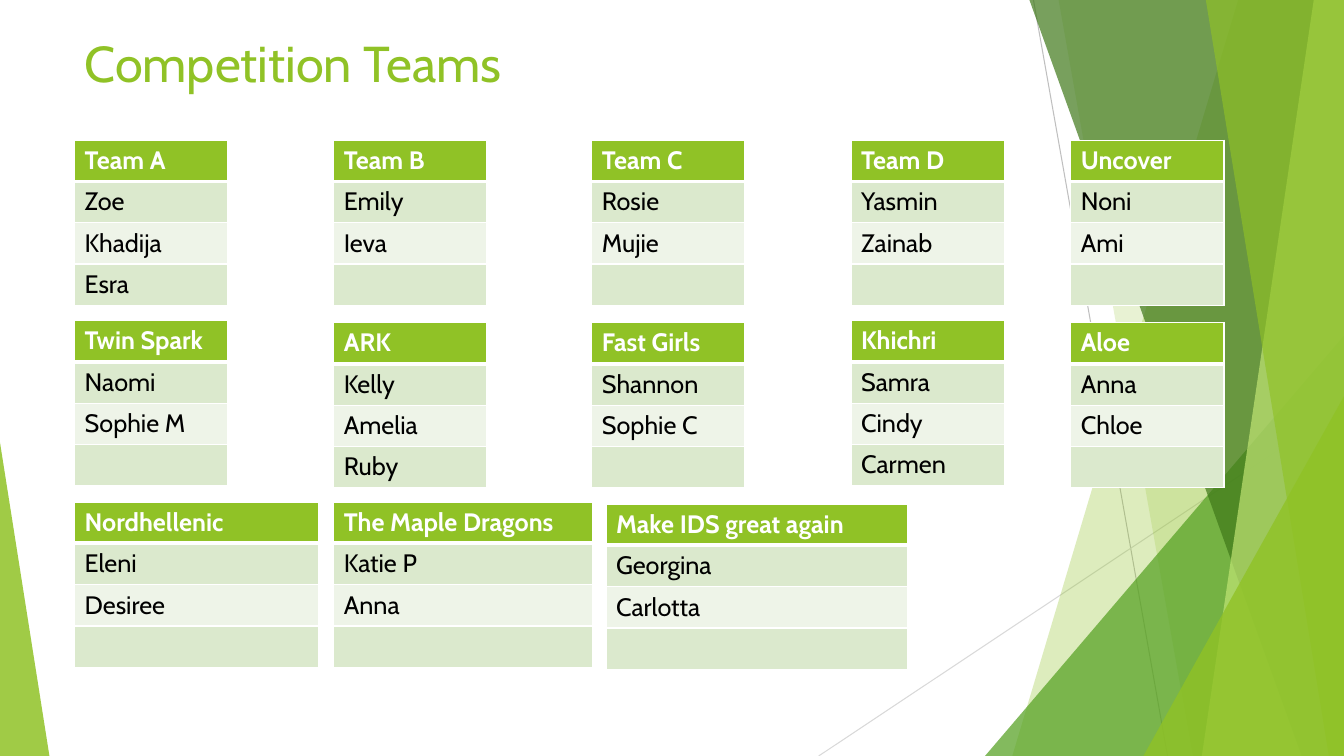
from collections import namedtuple
from dataclasses import dataclass

from lxml import etree
from pptx import Presentation
from pptx import util as u
from pptx.dml.color import RGBColor
from pptx.enum import shapes, text
from pptx.oxml import ns

Box = namedtuple("Box", "left top width height")
Team = namedtuple("Team", "left top width name members")


@dataclass(frozen=True)
class Theme:
    """Colours, font and type sizes of the slide."""
    font: str = "Cabin"
    title_size: int = 36
    table_size: int = 18
    lime: str = "90C226"
    green: str = "54A021"
    forest: str = "3F7819"
    pale: str = "C0E474"
    white: str = "FFFFFF"
    black: str = "000000"
    bands: tuple = ("DBE9CD", "EEF4E8")
    rules: tuple = ("BFBFBF", "D9D9D9")


THEME = Theme()
PAGE = Box(0, 0, 13.33, 7.5)
COLUMNS = [0.74, 3.31, 5.87, 8.44, 10.62]
ROW_TOPS = [1.39, 3.18, 4.98]
NUDGE = 0.02
TEAM_WIDTH = 1.52
ROW_HEIGHT = 0.41
TEAM_ROWS = 4

FIRST_ROW = [
    ("Team A", ["Zoe", "Khadija", "Esra"]),
    ("Team B", ["Emily", "Ieva"]),
    ("Team C", ["Rosie", "Mujie"]),
    ("Team D", ["Yasmin", "Zainab"]),
    ("Uncover", ["Noni", "Ami"]),
]
SECOND_ROW = [
    ("Twin Spark", ["Naomi", "Sophie M"]),
    ("ARK", ["Kelly", "Amelia", "Ruby"]),
    ("Fast Girls", ["Shannon", "Sophie C"]),
    ("Khichri", ["Samra", "Cindy", "Carmen"]),
    ("Aloe", ["Anna", "Chloe"]),
]
SECOND_NUDGES = [0, NUDGE, NUDGE, 0, NUDGE]
TEAMS = [
    *(Team(left, ROW_TOPS[0], TEAM_WIDTH, *entry)
      for left, entry in zip(COLUMNS, FIRST_ROW)),
    *(Team(left, ROW_TOPS[1] + nudge, TEAM_WIDTH, *entry)
      for left, nudge, entry in zip(COLUMNS, SECOND_NUDGES, SECOND_ROW)),
    Team(COLUMNS[0], ROW_TOPS[2], 2.42, "Nordhellenic", ["Eleni", "Desiree"]),
    Team(COLUMNS[1], ROW_TOPS[2], 2.57, "The Maple Dragons", ["Katie P", "Anna"]),
    Team(6.01, ROW_TOPS[2] + NUDGE, 2.99, "Make IDS great again",
         ["Georgina", "Carlotta"]),
]


def inches(*lengths):
    """Convert several lengths to Inches."""
    return [u.Inches(length) for length in lengths]


def style_font(font, size, color, bold=False):
    """Apply the theme font with a size, colour and weight."""
    font.name = THEME.font
    font.size = u.Pt(size)
    font.bold = bold
    font.color.rgb = RGBColor.from_string(color)


def paint(shape, color, opacity):
    """Give a shape a translucent fill without line or shadow."""
    shape.shadow.inherit = False
    shape.line.fill.background()
    shape.fill.solid()
    shape.fill.fore_color.rgb = RGBColor.from_string(color)
    tint = shape.element.spPr.find(ns.qn("a:solidFill"))[0]
    etree.SubElement(tint, ns.qn("a:alpha"), val=str(opacity * 1000))


def add_rule(page, box, start, end, color):
    """Draw a thin line between two points of the box."""
    rule = page.shapes.add_connector(
        shapes.MSO_CONNECTOR.STRAIGHT,
        *inches(box.left + start[0], box.top + start[1],
                box.left + end[0], box.top + end[1]))
    rule.line.width = u.Pt(0.75)
    rule.line.color.rgb = RGBColor.from_string(color)
    etree.SubElement(rule.element.spPr, ns.qn("a:effectLst"))


def add_shard(page, box, top_x, bottom_x, color, opacity):
    """Fill the area between a slanted edge and the right side of the box."""
    right, bottom = box.left + box.width, box.top + box.height
    corners = [inches(*point) for point in (
        (box.left + top_x, box.top), (right, box.top),
        (right, bottom), (box.left + bottom_x, bottom))]
    builder = page.shapes.build_freeform(*corners[0])
    builder.add_line_segments(corners[1:], close=True)
    paint(builder.convert_to_shape(), color, opacity)


def add_wedge(page, box, width, height, apex, color, opacity):
    """Stand a right triangle in a lower corner, with its apex at 0 or 1."""
    wedge = page.shapes.add_shape(
        shapes.MSO_SHAPE.ISOSCELES_TRIANGLE,
        *inches(box.left + apex * (box.width - width),
                box.top + box.height - height, width, height))
    wedge.adjustments[0] = apex
    paint(wedge, color, opacity)


def add_facets(page, box):
    """Build the overlapping green facets at the sides of the box."""
    add_rule(page, box, (10.25, 0), (11.58, box.height), THEME.rules[0])
    add_rule(page, box, (box.width, 4.03), (8.12, box.height), THEME.rules[1])
    add_shard(page, box, 12.28, 10.04, THEME.lime, 30)
    add_shard(page, box, 10.5, 11.83, THEME.lime, 20)
    add_wedge(page, box, 3.56, 4.17, 1, THEME.green, 72)
    add_shard(page, box, 10.21, 12.91, THEME.forest, 70)
    add_shard(page, box, 13.03, 11.92, THEME.pale, 70)
    add_shard(page, box, 11.96, 13.18, THEME.lime, 65)
    add_wedge(page, box, 1.99, 3.57, 1, THEME.lime, 80)
    add_wedge(page, box, 0.49, 3.11, 0, THEME.lime, 85)


def add_title(page, box, wording):
    """Place the title placeholder in the box, in front of the facets."""
    title = page.shapes.title
    title.element.getparent().append(title.element)
    title.left, title.top, title.width, title.height = inches(*box)
    frame = title.text_frame
    frame.text = wording
    frame.word_wrap = True
    frame.vertical_anchor = text.MSO_ANCHOR.TOP
    para = frame.paragraphs[0]
    para.alignment = text.PP_ALIGN.LEFT
    style_font(para.font, THEME.title_size, THEME.lime)


def add_borders(cell, **widths):
    """Draw white cell borders with the given widths in points."""
    properties = cell._tc.get_or_add_tcPr()
    for side, width in widths.items():
        border = etree.SubElement(properties, ns.qn(f"a:ln{side}"),
                                  w=str(u.Pt(width)))
        fill = etree.SubElement(border, ns.qn("a:solidFill"))
        etree.SubElement(fill, ns.qn("a:srgbClr"), val=THEME.white)


def add_team(page, box, name, members):
    """Build a one-column team table with a header and banded members."""
    table = page.shapes.add_table(TEAM_ROWS, 1, *inches(*box)).table
    for index in range(TEAM_ROWS):
        is_header = index == 0
        table.rows[index].height = u.Inches(box.height / TEAM_ROWS)
        cell = table.cell(index, 0)
        add_borders(cell, L=1, R=1, T=3 if index == 1 else 1,
                    B=3 if is_header else 1)
        cell.fill.solid()
        cell.fill.fore_color.rgb = RGBColor.from_string(
            THEME.lime if is_header else THEME.bands[(index - 1) % 2])
        if index <= len(members):
            cell.text = name if is_header else members[index - 1]
        style_font(cell.text_frame.paragraphs[0].font, THEME.table_size,
                   THEME.white if is_header else THEME.black, is_header)


def build_teams_slide(deck, box):
    """Build the competition teams slide within the box."""
    page = deck.slides.add_slide(deck.slide_layouts[5])
    add_facets(page, box)
    add_title(page, Box(box.left + COLUMNS[0], box.top + 0.27, 9.4, 1.44),
              "Competition Teams")
    for team in TEAMS:
        add_team(page, Box(box.left + team.left, box.top + team.top, team.width,
                           TEAM_ROWS * ROW_HEIGHT), team.name, team.members)


deck = Presentation()
deck.slide_width, deck.slide_height = inches(PAGE.width, PAGE.height)
build_teams_slide(deck, PAGE)
deck.save("out.pptx")
